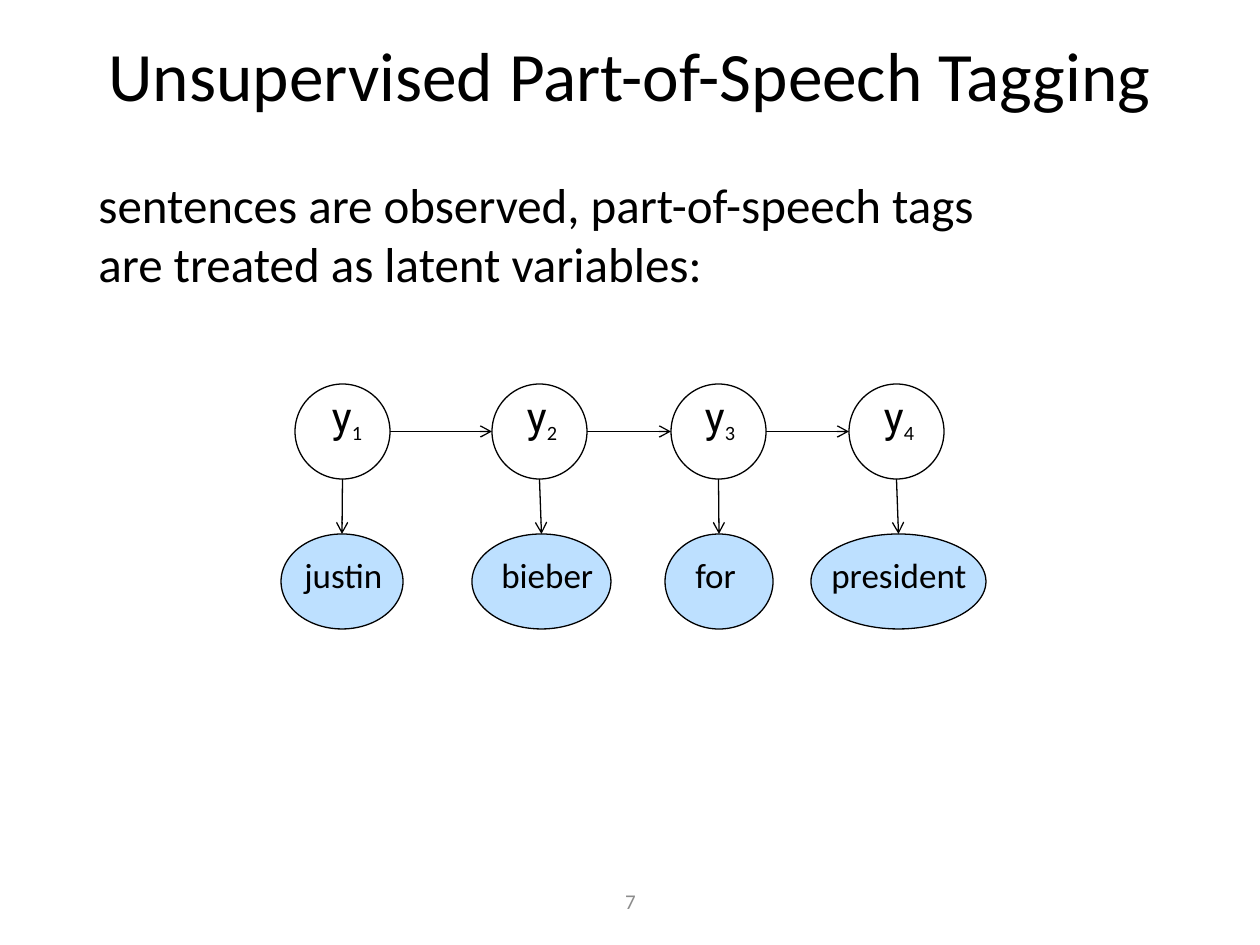
"""Build the slide on unsupervised part-of-speech tagging."""
import pptx
import pptx.dml.color
import pptx.enum.shapes
import pptx.enum.text
import pptx.oxml
import pptx.oxml.ns
import pptx.util

EMU_PER_PX = 914400 / 126
COLORS = {"ink": "000000", "muted": "8C8C8C", "observed": "BDE0FF"}
ALIGN = pptx.enum.text.PP_ALIGN
ANCHOR = pptx.enum.text.MSO_ANCHOR
NODE_SIZE = 95
TAG_TOP, WORD_TOP = 384, 534
TAG_LEFTS = (295, 492, 671, 849)
LABEL_LEFTS = (305, 500, 678, 857)
WORD_SPANS = ((281, 122), (472, 139), (665, 108), (811, 175))
WORDS = ("justin", "bieber", "for", "president")
WORD_TABS = (197, 391, 527)


def px(value):
    return pptx.util.Emu(round(value * EMU_PER_PX))


def color(name):
    return pptx.dml.color.RGBColor.from_string(COLORS[name])


def drawing_element(tag, **attributes):
    element = pptx.oxml.parse_xml(f"<a:{tag} {pptx.oxml.ns.nsdecls('a')}/>")
    for key, value in attributes.items():
        element.set(key, str(value))
    return element


def add_run(paragraph, text, size=20, font="Calibri", ink="ink", baseline=None):
    run = paragraph.add_run()
    run.text = text
    run.font.size = pptx.util.Pt(size)
    run.font.name = font
    run.font.color.rgb = color(ink)
    if baseline is not None:
        run.font._element.set("baseline", str(baseline))


class SlideBuilder:
    def __init__(self, slide, line_width=0.75):
        self.slide = slide
        self.line_width = pptx.util.Pt(line_width)

    def style_line(self, line):
        line.color.rgb = color("ink")
        line.width = self.line_width

    def text_box(self, left, top, width, height, align=ALIGN.LEFT, anchor=ANCHOR.TOP):
        shape = self.slide.shapes.add_textbox(px(left), px(top), px(width), px(height))
        shape.text_frame.word_wrap = True
        shape.text_frame.vertical_anchor = anchor
        paragraph = shape.text_frame.paragraphs[0]
        paragraph.alignment = align
        return paragraph

    def node(self, left, top, width, fill=None):
        shape = self.slide.shapes.add_shape(
            pptx.enum.shapes.MSO_SHAPE.OVAL, px(left), px(top), px(width), px(NODE_SIZE))
        shape.shadow.inherit = False
        if fill:
            shape.fill.solid()
            shape.fill.fore_color.rgb = color(fill)
        else:
            shape.fill.background()
        self.style_line(shape.line)

    def arrow(self, start, end):
        connector = self.slide.shapes.add_connector(
            pptx.enum.shapes.MSO_CONNECTOR.STRAIGHT, *map(px, start + end))
        self.style_line(connector.line)
        connector.line._get_or_add_ln().append(drawing_element("tailEnd", type="arrow"))
        connector._element.spPr.append(drawing_element("effectLst"))

    def tabbed_words(self, words, tabs, *box):
        paragraph = self.text_box(*box)
        tab_list = drawing_element("tabLst")
        for tab in tabs:
            tab_list.append(drawing_element("tab", pos=px(tab), algn="l"))
        paragraph._p.get_or_add_pPr().append(tab_list)
        add_run(paragraph, "\t".join(words))


def main():
    presentation = pptx.Presentation()
    presentation.slide_width, presentation.slide_height = px(1260), px(945)
    slide = presentation.slides.add_slide(presentation.slide_layouts[6])
    builder = SlideBuilder(slide)

    title = builder.text_box(63, 24, 1134, 100, ALIGN.CENTER, ANCHOR.MIDDLE)
    add_run(title, "Unsupervised Part-of-Speech Tagging", size=39.6)
    body = builder.text_box(86, 168, 916, 132)
    add_run(body, "sentences are observed, part-of-speech tags are treated as latent variables:",
            size=28)
    number = builder.text_box(431, 876, 399, 50, ALIGN.CENTER, ANCHOR.MIDDLE)
    add_run(number, "7", size=12, ink="muted")

    radius = NODE_SIZE / 2
    for tag_left, (word_left, word_width) in zip(TAG_LEFTS, WORD_SPANS):
        builder.node(tag_left, TAG_TOP, NODE_SIZE)
        builder.node(word_left, WORD_TOP, word_width, fill="observed")
        builder.arrow((tag_left + radius, TAG_TOP + NODE_SIZE),
                      (word_left + word_width / 2, WORD_TOP))
    middle = TAG_TOP + radius
    for left, following in zip(TAG_LEFTS, TAG_LEFTS[1:]):
        builder.arrow((left + NODE_SIZE, middle), (following, middle))

    builder.tabbed_words(WORDS, WORD_TABS, 292, 547, 766, 55)
    for index, left in enumerate(LABEL_LEFTS, start=1):
        label = builder.text_box(left, TAG_TOP, 84, 63, ALIGN.CENTER)
        add_run(label, "y", size=24, font="Roboto")
        add_run(label, str(index), baseline=-25000)

    presentation.save("out.pptx")


if __name__ == "__main__":
    main()
